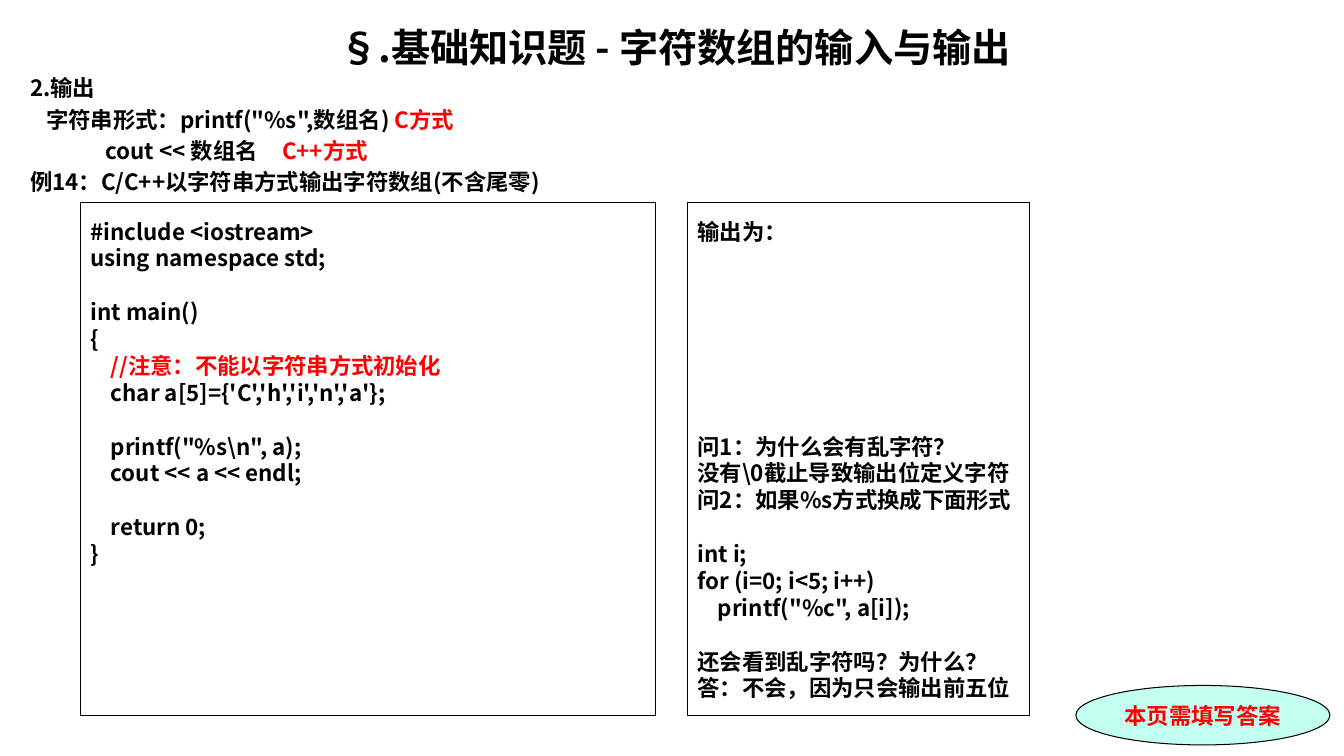
from lxml.etree import SubElement
from pptx import Presentation
from pptx.dml.color import RGBColor
from pptx.enum.shapes import MSO_SHAPE
from pptx.enum.text import MSO_ANCHOR, PP_ALIGN
from pptx.oxml.ns import qn
from pptx.util import Inches, Pt

BLACK, RED, MINT = "000000", "FF0000", "C2FFF0"
CJK = "Noto Sans CJK SC"
LEADING = 1.2  # line height as a share of the text size


def color(hex_string):
    return RGBColor.from_string(hex_string)


def add_line(paragraph, runs, size=16, font=CJK, align=PP_ALIGN.LEFT, gap=0):
    """Fill one paragraph with (text, colour) runs; gap counts in lines."""
    paragraph.alignment = align
    paragraph.line_spacing = Pt(size * LEADING)
    paragraph.space_before = Pt(size * LEADING * gap)
    for text, hex_string in runs:
        run = paragraph.add_run()
        run.text = text
        run.font.size = Pt(size)
        run.font.bold = True
        run.font.color.rgb = color(hex_string)
        run.font.name = font
        SubElement(run.font._element, qn("a:ea")).set("typeface", CJK)


prs = Presentation()
prs.slide_width, prs.slide_height = Inches(13.33), Inches(7.5)
slide = prs.slides.add_slide(prs.slide_layouts[5])

# Title
title = slide.shapes.title
title.left, title.top = Inches(0.2), Inches(0.18)
title.width, title.height = Inches(12.99), Inches(0.57)
title.text_frame.vertical_anchor = MSO_ANCHOR.TOP
add_line(title.text_frame.paragraphs[0], [("§.基础知识题 - 字符数组的输入与输出", BLACK)],
         size=28, align=PP_ALIGN.CENTER)

# Output forms: first-line indent in inches, then the runs
output_forms = [
    (0, [("2.输出", BLACK)]),
    (0.16, [('字符串形式：printf("%s",数组名) ', BLACK), ("C方式", RED)]),
    (0.75, [("cout << 数组名\t", BLACK), ("C++方式", RED)]),
    (0, [("例14：C/C++以字符串方式输出字符数组(不含尾零)", BLACK)]),
]
intro = slide.shapes.add_textbox(Inches(0.2), Inches(0.69), Inches(12.99), Inches(1.3)).text_frame
intro.word_wrap = True
for row, (indent, runs) in enumerate(output_forms):
    paragraph = intro.paragraphs[0] if row == 0 else intro.add_paragraph()
    properties = paragraph._p.get_or_add_pPr()
    properties.set("marL", "0")
    properties.set("indent", str(Inches(indent)))
    if "\t" in runs[0][0]:
        tabs = SubElement(properties, qn("a:tabLst"))
        SubElement(tabs, qn("a:tab"), pos=str(Inches(2.68)), algn="l")
    add_line(paragraph, runs, gap=1 / 6 if row else 0)

# Answer badge
badge = slide.shapes.add_shape(MSO_SHAPE.OVAL, Inches(10.67), Inches(6.8),
                               Inches(2.52), Inches(0.59))
badge.shadow.inherit = False
badge.fill.solid()
badge.fill.fore_color.rgb = color(MINT)
badge.line.color.rgb = color(BLACK)
badge.line.width = Pt(0.75)
badge.text_frame.word_wrap = False
badge.text_frame.vertical_anchor = MSO_ANCHOR.MIDDLE
add_line(badge.text_frame.paragraphs[0], [("本页需填写答案", RED)],
         font="Times New Roman", align=PP_ALIGN.CENTER)

# Program and questions: empty lines above, text, colour
program = [
    (0, "#include <iostream>", BLACK),
    (0, "using namespace std;", BLACK),
    (1, "int main()", BLACK),
    (0, "{", BLACK),
    (0, "    //注意：不能以字符串方式初始化", RED),
    (0, "    char a[5]={'C','h','i','n','a'};", BLACK),
    (1, '    printf("%s\\n", a);', BLACK),
    (0, "    cout << a << endl;", BLACK),
    (1, "    return 0;", BLACK),
    (0, "}", BLACK),
]
questions = [
    (0, "输出为：", BLACK),
    (7, "问1：为什么会有乱字符？", BLACK),
    (0, "没有\\0截止导致输出位定义字符", BLACK),
    (0, "问2：如果%s方式换成下面形式", BLACK),
    (1, "int i;", BLACK),
    (0, "for (i=0; i<5; i++)", BLACK),
    (0, '    printf("%c", a[i]);', BLACK),
    (1, "还会看到乱字符吗？为什么？", BLACK),
    (0, "答：不会，因为只会输出前五位", BLACK),
]
for left, width, lines in [(0.8, 5.7, program), (6.82, 3.39, questions)]:
    panel = slide.shapes.add_shape(MSO_SHAPE.RECTANGLE, Inches(left), Inches(2.01),
                                   Inches(width), Inches(5.09))
    panel.shadow.inherit = False
    panel.fill.background()
    panel.line.color.rgb = color(BLACK)
    panel.line.width = Pt(0.75)
    frame = panel.text_frame
    frame.word_wrap = False
    frame.vertical_anchor = MSO_ANCHOR.TOP
    frame.margin_top = Inches(0.15)
    for row, (gap, text, hex_string) in enumerate(lines):
        paragraph = frame.paragraphs[0] if row == 0 else frame.add_paragraph()
        add_line(paragraph, [(text, hex_string)], gap=gap)

prs.save("out.pptx")
